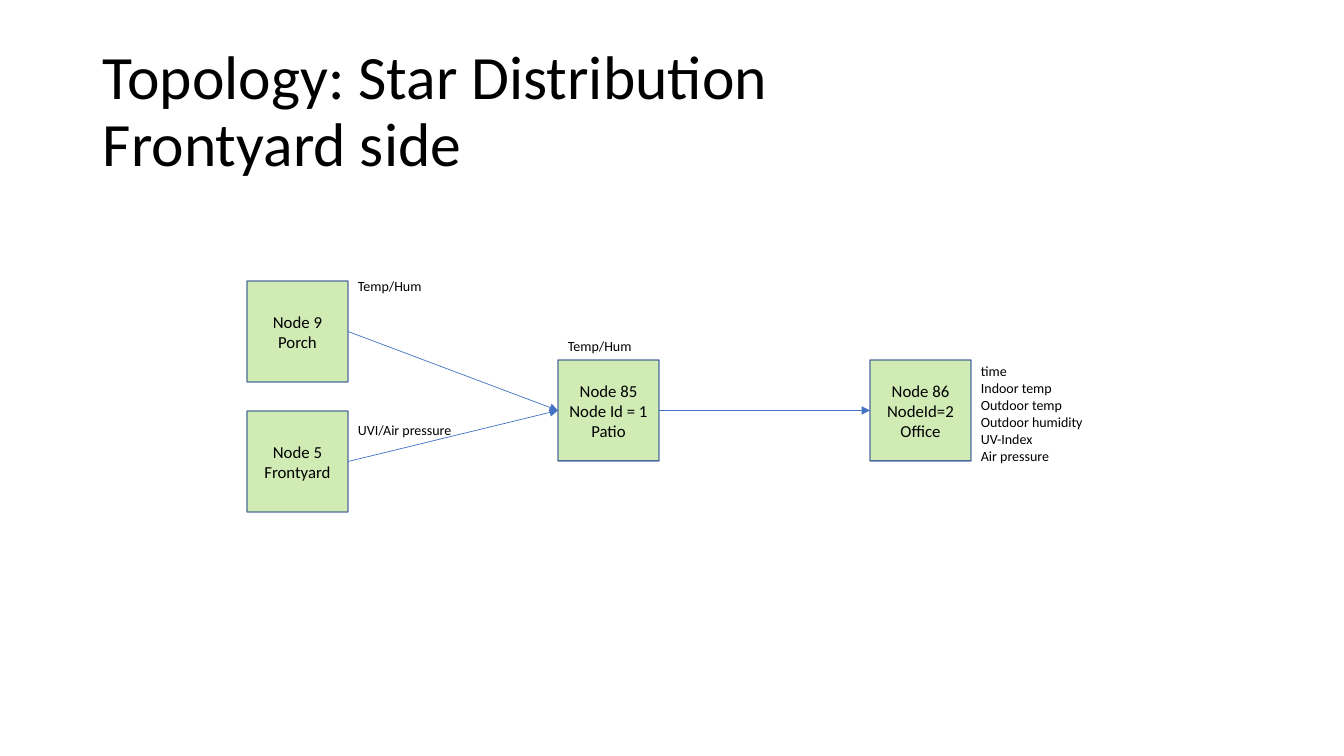
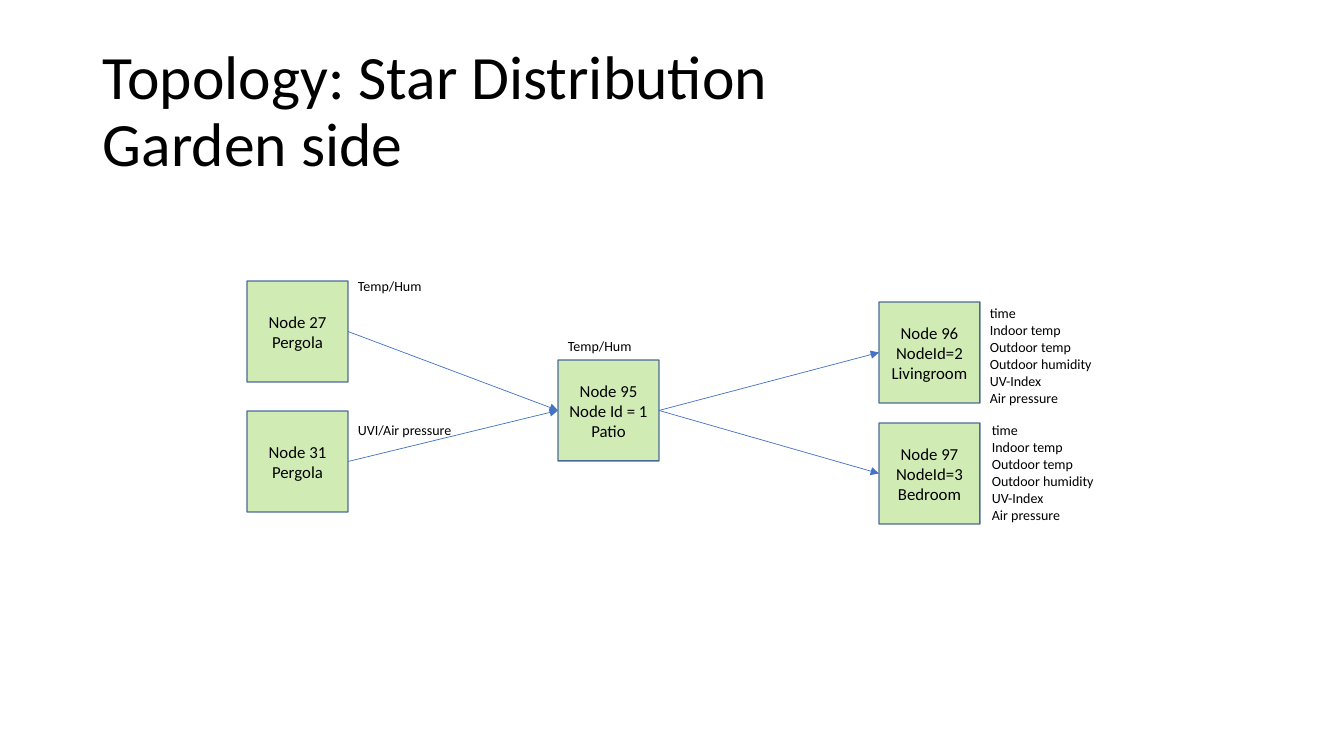
from lxml import etree
from pptx import Presentation
from pptx.dml.color import RGBColor
from pptx.enum.shapes import MSO_CONNECTOR, MSO_SHAPE
from pptx.enum.text import MSO_ANCHOR, MSO_AUTO_SIZE, PP_ALIGN
from pptx.oxml.ns import qn
from pptx.util import Emu, Pt

RECTANGLE = MSO_SHAPE.RECTANGLE
STRAIGHT = MSO_CONNECTOR.STRAIGHT
MIDDLE = MSO_ANCHOR.MIDDLE
TOP = MSO_ANCHOR.TOP
CENTER = PP_ALIGN.CENTER
LEFT = PP_ALIGN.LEFT
GROW = MSO_AUTO_SIZE.SHAPE_TO_FIT_TEXT
FIXED = MSO_AUTO_SIZE.NONE

BLACK = RGBColor(0x00, 0x00, 0x00)
GREEN = RGBColor(0x92, 0xD0, 0x50)
NAVY = RGBColor(0x32, 0x54, 0x91)
BLUE = RGBColor(0x44, 0x72, 0xC4)

FONT = "Calibri"
EMU_PER_PIXEL = 914400 / 100.8
SLIDE_SIZE = (1344, 756)
TITLE_BOX = (93, 40, 1159, 146)
NODE_SIZE = 101
LEFT_SITE, RIGHT_SITE = 1, 3
SENSOR_LEFT, PATIO_LEFT, PATIO_TOP = 247, 558, 360
CLIMATE_SIZE, PRESSURE_SIZE, READINGS_SIZE = (86, 27), (116, 27), (123, 112)
READINGS = "time\nIndoor temp\nOutdoor temp\nOutdoor humidity\nUV-Index\nAir pressure"

TITLE_STYLE = {
    "frame": {"word_wrap": True, "auto_size": FIXED, "vertical_anchor": MIDDLE},
    "paragraph": {"alignment": LEFT, "line_spacing": 0.9},
    "font": {"name": FONT, "size": Pt(44)},
}
NODE_STYLE = {
    "frame": {"word_wrap": True, "auto_size": FIXED, "vertical_anchor": MIDDLE},
    "paragraph": {"alignment": CENTER},
    "font": {"name": FONT, "size": Pt(12)},
}
LABEL_STYLE = {
    "frame": {"word_wrap": False, "auto_size": GROW, "vertical_anchor": TOP},
    "paragraph": {"alignment": LEFT},
    "font": {"name": FONT, "size": Pt(10)},
}

FRONTYARD = {
    "title": "Topology: Star Distribution\vFrontyard side",
    "sensors": ["Node 9\nPorch", "Node 5\nFrontyard"],
    "patio": "Node 85\nNode Id = 1\nPatio",
    "displays": [("Node 86\nNodeId=2\nOffice", (870, 360), (971, 358))],
}
GARDEN = {
    "title": "Topology: Star Distribution\vGarden side",
    "sensors": ["Node 27\nPergola", "Node 31\nPergola"],
    "patio": "Node 95\nNode Id = 1\nPatio",
    "displays": [
        ("Node 96\nNodeId=2\nLivingroom", (879, 302), (980, 300)),
        ("Node 97\nNodeId=3\nBedroom", (879, 423), (982, 417)),
    ],
}
SENSOR_ROWS = [
    (281, "Temp/Hum", 273, CLIMATE_SIZE),
    (411, "UVI/Air pressure", 417, PRESSURE_SIZE),
]


def pixels(*lengths):
    return [Emu(round(length * EMU_PER_PIXEL)) for length in lengths]


def set_attributes(target, values):
    for name, value in values.items():
        setattr(target, name, value)


def write_text(shape, text, style):
    frame = shape.text_frame
    set_attributes(frame, style["frame"])
    frame.text = text
    for paragraph in frame.paragraphs:
        set_attributes(paragraph, style["paragraph"])
        for run in paragraph.runs:
            set_attributes(run.font, style["font"])
            run.font.color.rgb = BLACK


def set_solid(fill, color, opacity):
    fill.solid()
    fill.fore_color.rgb = color
    return opacity


def set_opacity(properties, percent):
    color = properties.find(qn("a:solidFill")).find(qn("a:srgbClr"))
    etree.SubElement(color, qn("a:alpha"), val=str(percent * 1000))


def add_text(slide, text, box, style):
    shape = slide.shapes.add_textbox(*pixels(*box))
    write_text(shape, text, style)


def add_node(slide, text, left, top):
    node = slide.shapes.add_shape(RECTANGLE, *pixels(left, top, NODE_SIZE, NODE_SIZE))
    node.shadow.inherit = False
    node.fill.solid()
    node.fill.fore_color.rgb = GREEN
    node.line.color.rgb = NAVY
    node.line.width = Pt(1)
    properties = node._element.spPr
    set_opacity(properties, 42)
    set_opacity(properties.find(qn("a:ln")), 86)
    write_text(node, text, NODE_STYLE)
    return node


def add_arrow(slide, source, target):
    arrow = slide.shapes.add_connector(STRAIGHT, 0, 0, 0, 0)
    arrow.begin_connect(source, RIGHT_SITE)
    arrow.end_connect(target, LEFT_SITE)
    arrow.line.color.rgb = BLUE
    arrow.line.width = Pt(0.5)
    properties = arrow._element.spPr
    etree.SubElement(properties.find(qn("a:ln")), qn("a:tailEnd"), type="triangle")
    etree.SubElement(properties, qn("a:effectLst"))


def add_topology(presentation, topology):
    slide = presentation.slides.add_slide(presentation.slide_layouts[6])
    add_text(slide, topology["title"], TITLE_BOX, TITLE_STYLE)
    patio = add_node(slide, topology["patio"], PATIO_LEFT, PATIO_TOP)
    add_text(slide, "Temp/Hum", (PATIO_LEFT, PATIO_TOP - 27, *CLIMATE_SIZE), LABEL_STYLE)
    for name, (top, label, label_top, size) in zip(topology["sensors"], SENSOR_ROWS):
        sensor = add_node(slide, name, SENSOR_LEFT, top)
        add_arrow(slide, sensor, patio)
        add_text(slide, label, (SENSOR_LEFT + NODE_SIZE, label_top, *size), LABEL_STYLE)
    for name, position, readings_position in topology["displays"]:
        display = add_node(slide, name, *position)
        add_arrow(slide, patio, display)
        add_text(slide, READINGS, (*readings_position, *READINGS_SIZE), LABEL_STYLE)


def main():
    presentation = Presentation()
    presentation.slide_width, presentation.slide_height = pixels(*SLIDE_SIZE)
    for topology in (FRONTYARD, GARDEN):
        add_topology(presentation, topology)
    presentation.save("out.pptx")


main()
